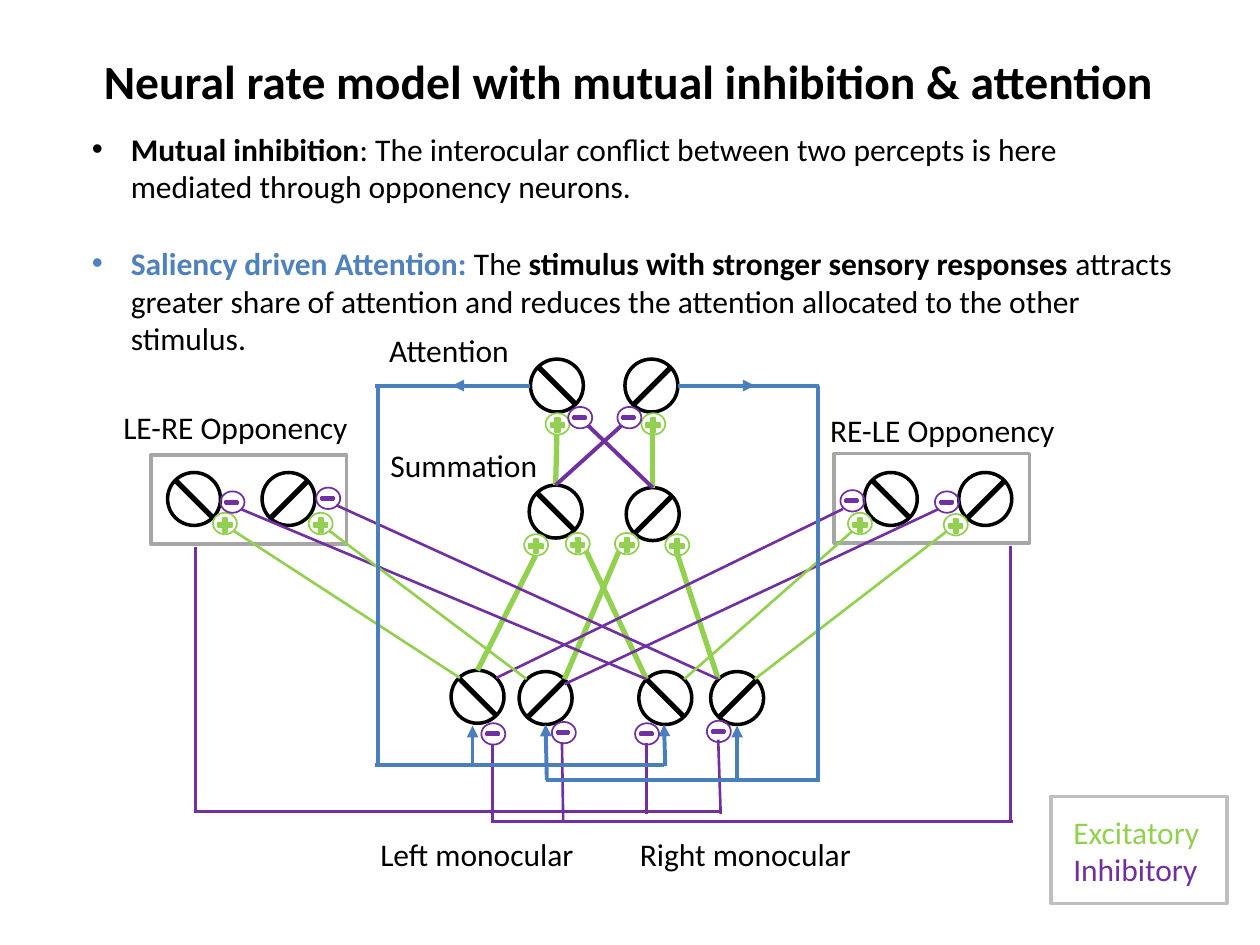
from lxml.etree import SubElement as Sub
from pptx import Presentation as Deck
from pptx.dml.color import RGBColor as RGB
from pptx.enum.shapes import MSO_CONNECTOR as Link, MSO_SHAPE as Kind
from pptx.enum.text import MSO_ANCHOR as Anchor, PP_ALIGN as Align
from pptx.oxml.ns import qn
from pptx.util import Inches, Pt

BLACK = RGB(0x00, 0x00, 0x00)
WHITE = RGB(0xFF, 0xFF, 0xFF)
GREEN = RGB(0x92, 0xD0, 0x50)
PURPLE = RGB(0x70, 0x30, 0xA0)
BLUE = RGB(0x4B, 0x7E, 0xBC)
ACCENT = RGB(0x4F, 0x81, 0xBD)
GRAY = RGB(0xA6, 0xA6, 0xA6)
SILVER = RGB(0xBF, 0xBF, 0xBF)

FALLING = [(4.21, 2.85), (4.2, 3.85), (3.58, 5.32), (5.07, 5.33), (1.33, 3.75), (6.86, 3.75)]
RISING = [(4.96, 2.85), (4.97, 3.87), (4.12, 5.33), (5.64, 5.33), (2.08, 3.75), (7.61, 3.75)]
PLUSES = [(4.16, 4.24), (4.49, 4.23), (4.88, 4.23), (5.28, 4.24), (4.33, 3.28),
          (5.09, 3.28), (1.69, 4.07), (2.45, 4.07), (6.73, 4.07), (7.49, 4.08)]
MINUSES = [(1.75, 3.9), (2.51, 3.87), (6.67, 3.89), (7.42, 3.9), (5.04, 5.74),
           (5.61, 5.72), (4.38, 5.73), (3.82, 5.74), (4.51, 3.23), (4.9, 3.23)]
WIRES = [
    (GREEN, 3, [(4.41, 3.85, 4.42, 3.45), (5.18, 3.87, 5.18, 3.42),
                (3.79, 5.32, 4.25, 4.41), (4.48, 5.39, 4.91, 4.38),
                (4.65, 4.37, 5.13, 5.39), (5.7, 5.39, 5.37, 4.38)]),
    (PURPLE, 1.5, [(4.48, 5.43, 7.45, 4.04), (3.94, 5.38, 6.69, 4.04),
                   (2.67, 4.01, 5.7, 5.39), (1.91, 4.04, 5.13, 5.39),
                   (1.54, 6.44, 5.72, 6.44), (5.7, 5.87, 5.72, 6.46),
                   (5.13, 5.9, 5.13, 6.46), (1.55, 4.34, 1.55, 6.45),
                   (4.46, 5.89, 4.47, 6.51), (8.04, 6.52, 3.9, 6.52),
                   (3.91, 5.91, 3.91, 6.51), (8.02, 4.33, 8.02, 6.51)]),
    (GREEN, 1.5, [(5.43, 5.39, 6.76, 4.22), (5.99, 5.39, 7.51, 4.22),
                  (1.85, 4.21, 3.65, 5.38), (2.61, 4.21, 4.18, 5.39)]),
    (PURPLE, 2.25, [(5.18, 3.87, 4.67, 3.38), (4.93, 3.38, 4.41, 3.85)]),
    (BLUE, 2.25, [(3, 3.06, 3, 6.07), (2.98, 6.07, 5.27, 6.07), (2.98, 3.06, 4.21, 3.06),
                  (5.38, 3.06, 6.5, 3.06), (6.51, 6.19, 4.33, 6.19), (6.49, 3.06, 6.49, 6.19)]),
]
ARROWS = [(3.75, 6.08, 3.75, 5.76), (5.28, 6.08, 5.27, 5.75), (5.85, 6.21, 5.85, 5.76),
          (4.34, 6.19, 4.33, 5.75), (5.38, 3.06, 5.99, 3.06), (4.2, 3.06, 3.59, 3.06)]
LABELS = [("RE-LE Opponency", 6.49, 3.21, 2.01), ("LE-RE Opponency", 0.88, 3.19, 2.01),
          ("Attention", 2.99, 2.58, 1.17), ("Summation", 3, 3.49, 1.38),
          ("Left monocular", 2.92, 6.58, 1.76), ("Right monocular", 4.98, 6.58, 1.9)]
POINTS = [
    [("Mutual inhibition", BLACK, True),
     (": The interocular conflict between two percepts is here mediated "
      "through opponency neurons.", BLACK, False)],
    [("Saliency driven Attention: ", ACCENT, True), ("The ", BLACK, False),
     ("stimulus with stronger sensory responses ", BLACK, True),
     ("attracts greater share of attention and reduces the attention allocated "
      "to the other stimulus.", BLACK, False)],
]


def style(item, values):
    """Set each named value on the item."""
    for name, value in values.items():
        setattr(item, name, value)


def shape(slide, kind, box, color, width, fill=None):
    """Add an outlined preset shape."""
    item = slide.shapes.add_shape(kind, *map(Inches, box))
    item.shadow.inherit = False
    if fill is None:
        item.fill.background()
    else:
        item.fill.solid()
        item.fill.fore_color.rgb = fill
    item.line.color.rgb = color
    item.line.width = Pt(width)


def wire(slide, ends, color, width, arrow=False):
    """Add a straight line, with an arrowhead at its end if asked."""
    item = slide.shapes.add_connector(Link.STRAIGHT, *map(Inches, ends))
    item.line.color.rgb = color
    item.line.width = Pt(width)
    if arrow:
        Sub(item.line._get_or_add_ln(), qn("a:tailEnd"), type="triangle")
    Sub(item._element.spPr, qn("a:effectLst"))


def neuron(slide, x, y, rising):
    """Add a unit: a circle crossed by a slanted bar."""
    shape(slide, Kind.OVAL, (x, y, 0.42, 0.42), BLACK, 2, WHITE)
    ends = (0.36, 0.07, 0.06, 0.37) if rising else (0.06, 0.06, 0.36, 0.36)
    wire(slide, [a + b for a, b in zip(ends, (x, y, x, y))], BLACK, 3)


def plus(slide, x, y):
    """Add an excitatory sign."""
    shape(slide, Kind.MATH_PLUS, (x + 0.02, y + 0.02, 0.15, 0.15), GREEN, 1, GREEN)
    shape(slide, Kind.OVAL, (x, y, 0.19, 0.17), GREEN, 1)


def minus(slide, x, y):
    """Add an inhibitory sign."""
    shape(slide, Kind.OVAL, (x, y, 0.19, 0.17), PURPLE, 1)
    shape(slide, Kind.MATH_MINUS, (x + 0.03, y + 0.06, 0.12, 0.05), PURPLE, 2, ACCENT)


def text(slide, box, paras, size=18, wrap=False, **look):
    """Add a text box of paragraphs made of (words, color, bold) runs."""
    frame = slide.shapes.add_textbox(*map(Inches, box)).text_frame
    style(frame, {"word_wrap": wrap, **look})
    for i, runs in enumerate(paras):
        para = frame.add_paragraph() if i else frame.paragraphs[0]
        for words, color, bold in runs:
            run = para.add_run()
            run.text = words
            style(run.font, {"name": "Calibri", "size": Pt(size), "bold": bold})
            run.font.color.rgb = color
    return frame.paragraphs


def bullet(para):
    """Give a paragraph a hanging bullet."""
    props = para._p.get_or_add_pPr()
    props.set("marL", str(Inches(0.31)))
    props.set("indent", str(-Inches(0.31)))
    Sub(props, qn("a:buFont"), typeface="Arial")
    Sub(props, qn("a:buChar"), char="•")


def circuit(slide):
    """Draw the neurons, their wiring, signs and labels."""
    for spots, rising in ((FALLING, False), (RISING, True)):
        for x, y in spots:
            neuron(slide, x, y, rising)
    for x, y in ((6.62, 3.6), (1.2, 3.61)):
        shape(slide, Kind.RECTANGLE, (x, y, 1.55, 0.71), GRAY, 2)
    for color, width, lines in WIRES:
        for ends in lines:
            wire(slide, ends, color, width)
    for ends in ARROWS:
        wire(slide, ends, BLUE, 2.25, True)
    for spot in PLUSES:
        plus(slide, *spot)
    for spot in MINUSES:
        minus(slide, *spot)
    for words, x, y, width in LABELS:
        text(slide, (x, y, width, 0.4), [[(words, BLACK, False)]])


def main():
    """Build and save the slide."""
    deck = Deck()
    style(deck, {"slide_width": Inches(10), "slide_height": Inches(7.5)})
    slide = deck.slides.add_slide(deck.slide_layouts[6])
    circuit(slide)
    paras = text(slide, (0.63, 0.98, 8.82, 1.92), POINTS, wrap=True)
    paras[1].space_before = Pt(22)
    for para in paras:
        bullet(para)
    title = [("Neural rate model with mutual inhibition & attention", BLACK, True)]
    head = text(slide, (0.49, 0.33, 9, 0.62), [title], 27.2, True,
                vertical_anchor=Anchor.MIDDLE)
    head[0].alignment = Align.CENTER
    shape(slide, Kind.RECTANGLE, (8.34, 6.32, 1.4, 0.85), SILVER, 2)
    text(slide, (8.42, 6.4, 1.26, 0.71),
         [[("Excitatory", GREEN, False)], [("Inhibitory", PURPLE, False)]])
    deck.save("out.pptx")


if __name__ == "__main__":
    main()
